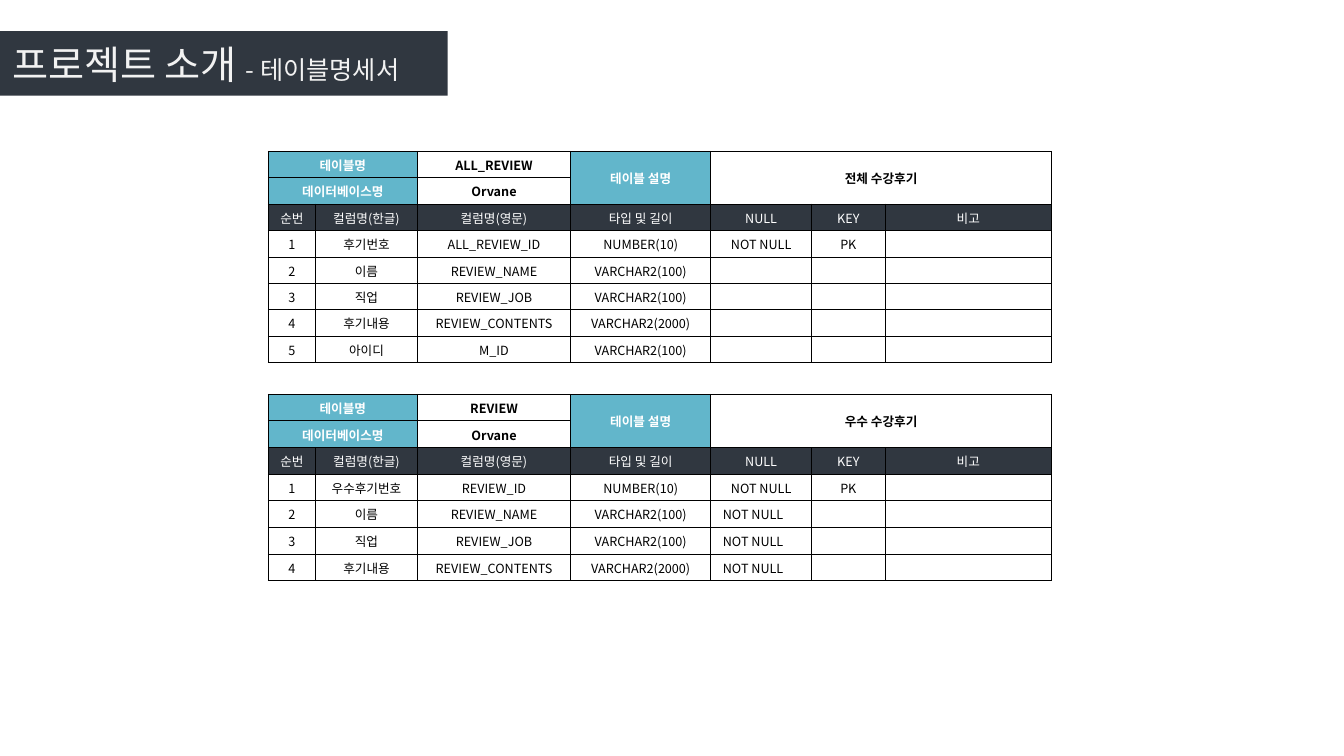
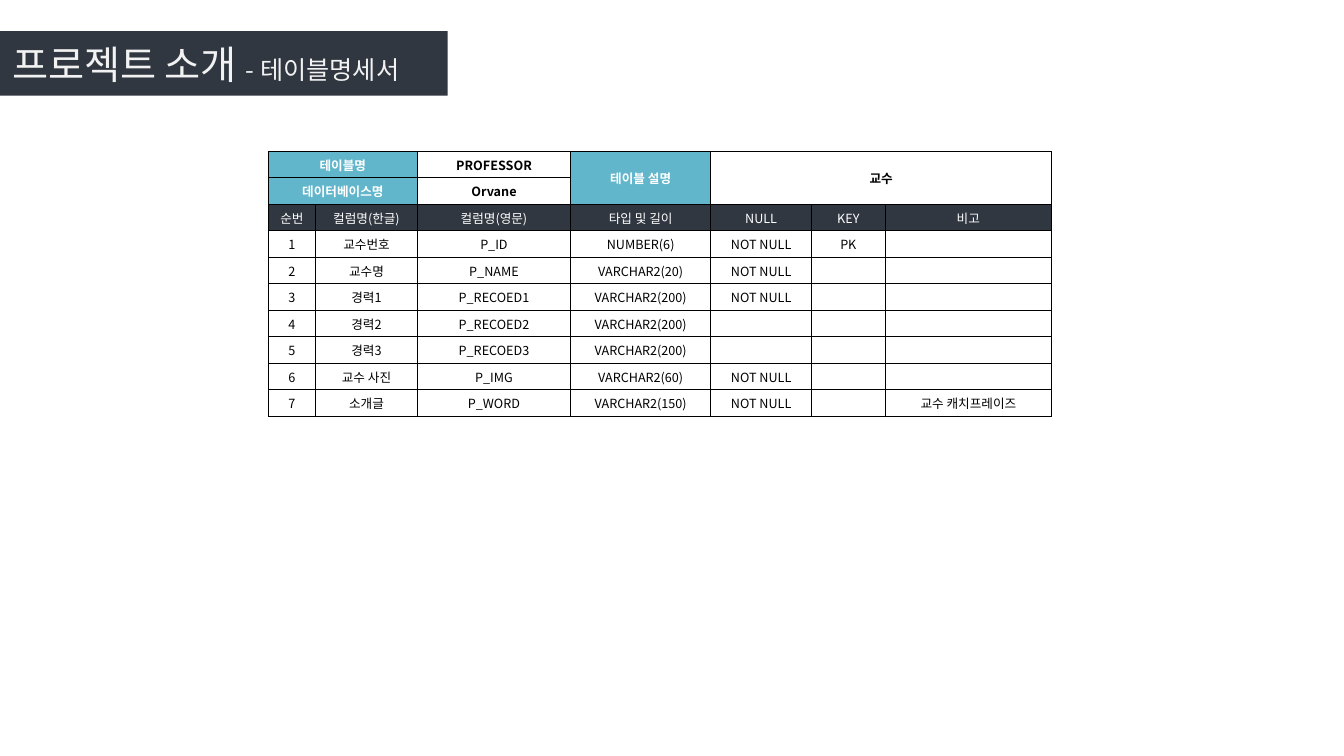
from dataclasses import dataclass

from lxml.etree import SubElement
from pptx import Presentation
from pptx.dml.color import RGBColor
from pptx.enum.text import MSO_ANCHOR, MSO_AUTO_SIZE, PP_ALIGN
from pptx.oxml.ns import qn
from pptx.util import Inches, Pt

COLORS = {"dark": "303740", "blue": "62B6CB", "white": "FFFFFF",
          "pale": "F2F2F2", "black": "000000"}
FONT = "Noto Sans CJK KR"
SIZE = 9
LEFT, TOP = 2.66, 1.5
WIDTHS = (0.47, 1.01, 1.52, 1.39, 1, 0.73, 1.65)
HEADS = ("순번", "컬럼명(한글)", "컬럼명(영문)", "타입 및 길이", "NULL", "KEY", "비고")
NULL_COL = HEADS.index("NULL")


@dataclass(frozen=True)
class Field:
    label: str
    name: str
    kind: str
    null: str = ""
    key: str = ""
    note: str = ""
    inset: float = 0.01  # right margin of the NULL cell


@dataclass(frozen=True)
class Sheet:
    name: str
    about: str
    top: float
    height: float
    fields: tuple[Field, ...]


REVIEWS = (
    Sheet("ALL_REVIEW", "전체 수강후기", TOP, 2.1, (
        Field("후기번호", "ALL_REVIEW_ID", "NUMBER(10)", "NOT NULL", "PK"),
        Field("이름", "REVIEW_NAME", "VARCHAR2(100)"),
        Field("직업", "REVIEW_JOB", "VARCHAR2(100)"),
        Field("후기내용", "REVIEW_CONTENTS", "VARCHAR2(2000)"),
        Field("아이디", "M_ID", "VARCHAR2(100)"),
    )),
    Sheet("REVIEW", "우수 수강후기", 3.91, 1.85, (
        Field("우수후기번호", "REVIEW_ID", "NUMBER(10)", "NOT NULL", "PK"),
        Field("이름", "REVIEW_NAME", "VARCHAR2(100)", "NOT NULL", inset=0.17),
        Field("직업", "REVIEW_JOB", "VARCHAR2(100)", "NOT NULL", inset=0.17),
        Field("후기내용", "REVIEW_CONTENTS", "VARCHAR2(2000)", "NOT NULL", inset=0.17),
    )),
)
STAFF = (
    Sheet("PROFESSOR", "교수", TOP, 2.63, (
        Field("교수번호", "P_ID", "NUMBER(6)", "NOT NULL", "PK"),
        Field("교수명", "P_NAME", "VARCHAR2(20)", "NOT NULL"),
        Field("경력1", "P_RECOED1", "VARCHAR2(200)", "NOT NULL"),
        Field("경력2", "P_RECOED2", "VARCHAR2(200)"),
        Field("경력3", "P_RECOED3", "VARCHAR2(200)"),
        Field("교수 사진", "P_IMG", "VARCHAR2(60)", "NOT NULL"),
        Field("소개글", "P_WORD", "VARCHAR2(150)", "NOT NULL", note="교수 캐치프레이즈"),
    )),
)


def paint(fill, color: str) -> None:
    fill.solid()
    fill.fore_color.rgb = RGBColor.from_string(COLORS[color])


def write(para, text: str, *, size: int = SIZE, color: str = "black",
          bold: bool = False) -> None:
    run = para.add_run()
    run.text = text
    font = run.font
    font.name, font.size, font.bold = FONT, Pt(size), bold
    font.color.rgb = RGBColor.from_string(COLORS[color])
    SubElement(font._element, qn("a:ea"), typeface=FONT)


def border(cell) -> None:
    props = cell._tc.get_or_add_tcPr()
    for side in ("L", "R", "T", "B"):
        line = SubElement(props, qn(f"a:ln{side}"), w=str(Pt(0.5)))
        fill = SubElement(line, qn("a:solidFill"))
        SubElement(fill, qn("a:srgbClr"), val=COLORS["black"])


def frame(cell) -> None:
    """Give a blank cell its border, margins and small line height."""
    border(cell)
    cell.fill.background()
    cell.vertical_anchor = MSO_ANCHOR.MIDDLE
    cell.margin_left = cell.margin_right = cell.margin_top = Inches(0.01)
    cell.margin_bottom = 0
    para = cell.text_frame.paragraphs[0]
    para.alignment = PP_ALIGN.CENTER
    SubElement(para._p, qn("a:endParaRPr"), sz=str(SIZE * 100))


def put(cell, text: str, *, fill: str = "", bold: bool = False) -> None:
    if fill:
        paint(cell.fill, fill)
    if text:
        write(cell.text_frame.paragraphs[0], text, bold=bold,
              color="white" if fill else "black")


def add_sheet(slide, sheet: Sheet) -> None:
    shape = slide.shapes.add_table(
        len(sheet.fields) + 3, len(WIDTHS), Inches(LEFT), Inches(sheet.top),
        Inches(sum(WIDTHS)), Inches(sheet.height))
    table = shape.table
    table.first_row = table.horz_banding = False
    for col, width in zip(table.columns, WIDTHS):
        col.width = Inches(width)
    for cell in table.iter_cells():
        frame(cell)

    # Table name, database and description
    for start, end in (((0, 0), (0, 1)), ((1, 0), (1, 1)),
                       ((0, 3), (1, 3)), ((0, 4), (1, 6))):
        table.cell(*start).merge(table.cell(*end))
    for row, col, text, fill in (
            (0, 0, "테이블명", "blue"), (0, 2, sheet.name, ""),
            (0, 3, "테이블 설명", "blue"), (0, 4, sheet.about, ""),
            (1, 0, "데이터베이스명", "blue"), (1, 2, "Orvane", "")):
        put(table.cell(row, col), text, fill=fill, bold=True)

    # Column heads and fields
    for col, text in enumerate(HEADS):
        put(table.cell(2, col), text, fill="dark")
    for num, field in enumerate(sheet.fields, 1):
        row = num + 2
        texts = (str(num), field.label, field.name, field.kind,
                 field.null, field.key, field.note)
        for col, text in enumerate(texts):
            put(table.cell(row, col), text)
        table.cell(row, NULL_COL).margin_right = Inches(field.inset)


def add_title(slide) -> None:
    title = slide.shapes.title
    title.left, title.top = 0, Inches(0.31)
    title.width, title.height = Inches(4.44), Inches(0.64)
    paint(title.fill, "dark")
    body = title.text_frame
    body.auto_size = MSO_AUTO_SIZE.NONE
    body.vertical_anchor = MSO_ANCHOR.MIDDLE
    body.margin_left, body.margin_right = Inches(0.12), Inches(0.1)
    body.margin_top = body.margin_bottom = Inches(0.05)
    para = body.paragraphs[0]
    para.alignment = PP_ALIGN.LEFT
    write(para, "프로젝트 소개 ", size=28, color="pale")
    write(para, "- 테이블명세서", size=18, color="pale")


def main() -> None:
    deck = Presentation()
    deck.slide_width, deck.slide_height = Inches(13.33), Inches(7.5)
    for sheets in (REVIEWS, STAFF):
        slide = deck.slides.add_slide(deck.slide_layouts[5])
        add_title(slide)
        for sheet in sheets:
            add_sheet(slide, sheet)
    deck.save("out.pptx")


if __name__ == "__main__":
    main()
